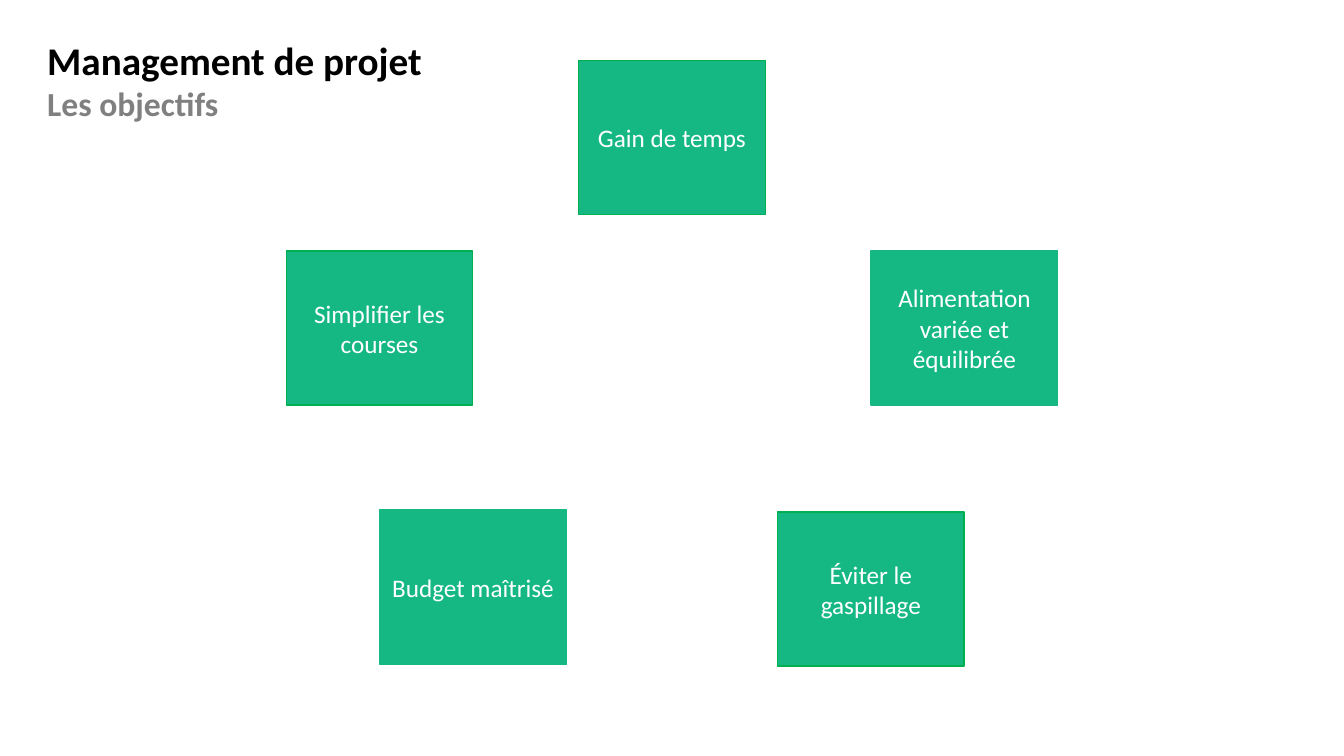
from pptx import Presentation
from pptx import util as u
from pptx.dml.color import RGBColor
from pptx.enum import shapes, text

COLORS = {"title": "000000", "subtitle": "808080", "box": "15B883",
          "edge": "00AF50", "label": "FFFFFF"}

presentation = Presentation()
presentation.slide_width = u.Inches(13.33)
presentation.slide_height = u.Inches(7.5)
slide = presentation.slides.add_slide(presentation.slide_layouts[6])


def across(percent):
    return round(presentation.slide_width * percent / 100)


def down(percent):
    return round(presentation.slide_height * percent / 100)


heading = slide.shapes.add_textbox(across(2.78), down(4.13), across(30.16), down(13.07))
heading.text_frame.word_wrap = True
heading.text_frame.text = "Management de projet\nLes objectifs"
heading_formats = [("title", {"size": u.Pt(28), "bold": True, "name": "Calibri"}),
                   ("subtitle", {"size": u.Pt(24), "bold": True, "name": "Calibri"})]
for paragraph, (color, format_values) in zip(heading.text_frame.paragraphs, heading_formats):
    font = paragraph.runs[0].font
    for attribute, value in format_values.items():
        setattr(font, attribute, value)
    font.color.rgb = RGBColor.from_string(COLORS[color])

box_width, box_height = across(13.88), down(20.4)
outer, inner = 21.76, 14.8
objectives = [
    ("Simplifier les courses", -outer, 33.2, "edge"),
    ("Budget maîtrisé", -inner, 67.47, "box"),
    ("Alimentation variée et équilibrée", outer, 33.2, "box"),
    ("Éviter le gaspillage", inner, 67.73, "edge"),
    ("Gain de temps", 0, 8, "edge"),
]
label_format = {"size": u.Pt(18), "name": "Calibri"}

for label, offset, top, edge in objectives:
    left = across(50 + offset) - box_width // 2
    box = slide.shapes.add_shape(shapes.MSO_SHAPE.RECTANGLE, left, down(top),
                                 box_width, box_height)
    box.shadow.inherit = False
    box.fill.solid()
    box.fill.fore_color.rgb = RGBColor.from_string(COLORS["box"])
    box.line.color.rgb = RGBColor.from_string(COLORS[edge])
    box.line.width = u.Pt(1)
    frame = box.text_frame
    frame.word_wrap = True
    frame.vertical_anchor = text.MSO_ANCHOR.MIDDLE
    paragraph = frame.paragraphs[0]
    paragraph.text = label
    paragraph.alignment = text.PP_ALIGN.CENTER
    font = paragraph.runs[0].font
    for attribute, value in label_format.items():
        setattr(font, attribute, value)
    font.color.rgb = RGBColor.from_string(COLORS["label"])

presentation.save("out.pptx")
